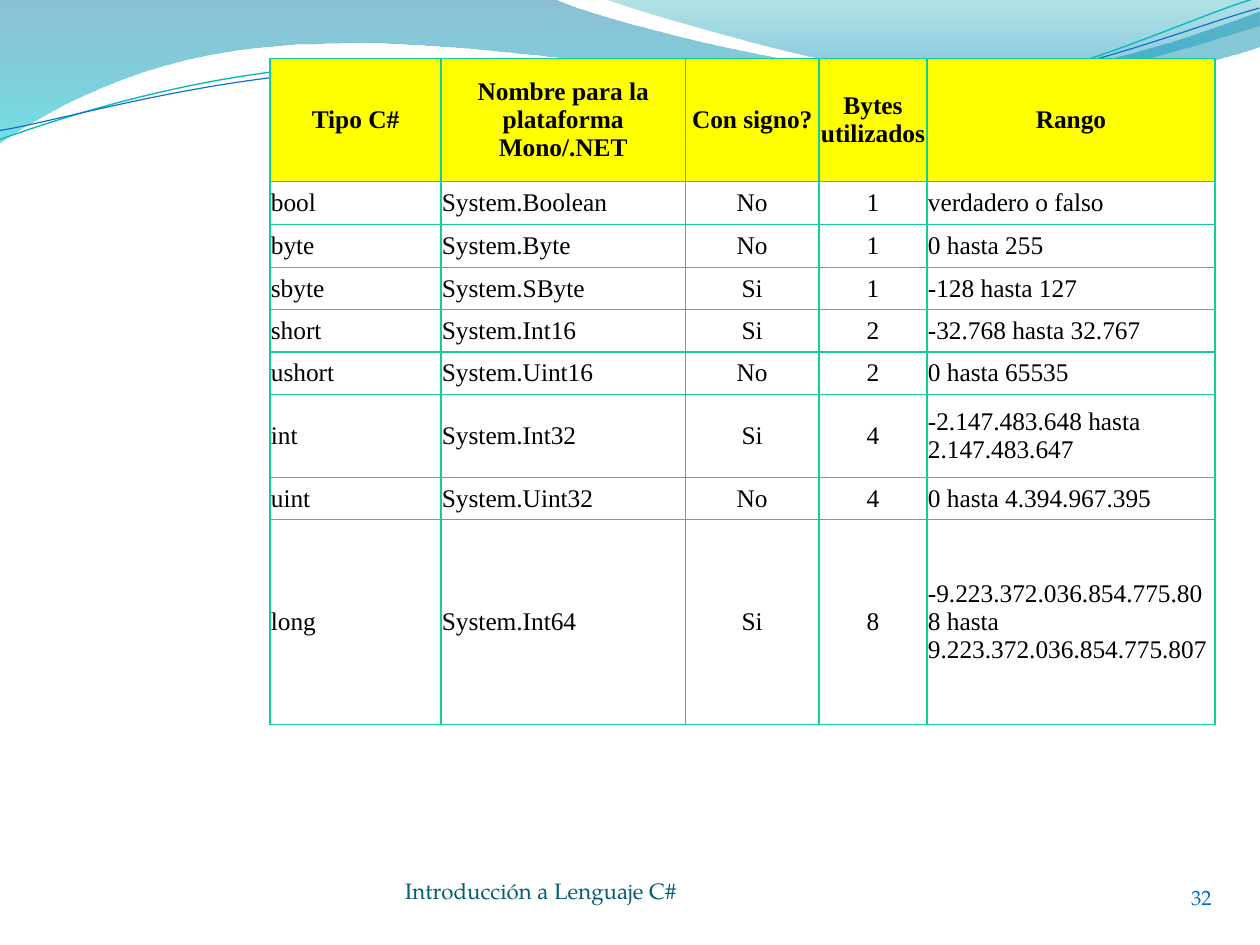
"""Build the slide listing the C# integer types over a wave banner."""
from lxml.etree import SubElement
from pptx import Presentation
from pptx.dml.color import RGBColor
from pptx.enum.shapes import MSO_SHAPE as Preset
from pptx.enum.text import MSO_ANCHOR as Anchor, PP_ALIGN as Align
from pptx.oxml.ns import qn
from pptx.util import Cm, Pt

BLACK = RGBColor(0x00, 0x00, 0x00)
WHITE = RGBColor(0xFF, 0xFF, 0xFF)
YELLOW = RGBColor(0xFF, 0xFF, 0x00)
GREEN = RGBColor(0x10, 0xCF, 0x9B)
TEAL = RGBColor(0x0A, 0xB8, 0xBF)
BLUE = RGBColor(0x0F, 0x6F, 0xC6)
FOOTER_TEAL = RGBColor(0x04, 0x5D, 0x75)
NUMBER_BLUE = RGBColor(0x00, 0x70, 0xC0)
DEEP_BLUE = RGBColor(0x00, 0x74, 0xA1)
CYAN = RGBColor(0x00, 0xC6, 0xCF)
SEA_GREEN = RGBColor(0x00, 0xA1, 0xA9)
SKY_BLUE = RGBColor(0x00, 0x8B, 0xBF)

TABLE_FONT = "Times New Roman"
FOOTER_FONT = "TeX Gyre Pagella"

LEFT_WAVE = [
    [(0, 0)],
    [(12.32, -0.03)],
    [(13.31, 0.46), (18.59, 1.75), (21.23, 1.75)],
    [(23.9, 1.75), (26.82, 0.71), (27.99, 0.25)],
    [(28.04, 1.02)],
    [(27.53, 1.22), (24.36, 2.13), (20.88, 2.11)],
    [(17.42, 2.11), (10.69, 0.79), (7.21, 0.97)],
    [(3.61, 0.99), (1.3, 2.31), (-0.03, 3.18)],
]
RIGHT_WAVE = [
    [(13.41, -0.03)],
    [(14.27, 0.3), (19.1, 1.73), (21.51, 1.83)],
    [(23.95, 1.93), (26.92, 0.89), (27.99, 0.58)],
    [(27.99, 0)],
]
TEAL_LINE = [
    [(0, 3.1)],
    [(1.35, 2.62), (4.42, 1.6), (7.75, 1.45)],
    [(11.07, 1.3), (16.59, 2.49), (19.96, 2.24)],
    [(23.32, 1.98), (26.29, 0.43), (27.94, -0.05)],
]
BLUE_LINE = [
    [(0, 2.9)],
    [(1.32, 2.69), (4.57, 1.7), (7.92, 1.57)],
    [(11.28, 1.45), (16.74, 2.34), (20.07, 2.11)],
    [(23.42, 1.88), (26.49, 0.58), (27.99, 0.18)],
]

COLUMN_WIDTHS = [3.8, 5.43, 2.97, 2.4, 6.4]
ROW_HEIGHTS = [2.74] + [0.95] * 2 + [0.94] * 3 + [1.85, 0.94, 4.55]
CENTERED_COLUMNS = (2, 3)
TYPES = [
    ("Tipo C#", "Nombre para la plataforma Mono/.NET", "Con signo?",
     "Bytes utilizados", "Rango"),
    ("bool", "System.Boolean", "No", "1", "verdadero o falso"),
    ("byte", "System.Byte", "No", "1", "0 hasta 255"),
    ("sbyte", "System.SByte", "Si", "1", "-128 hasta 127"),
    ("short", "System.Int16", "Si", "2", "-32.768 hasta 32.767"),
    ("ushort", "System.Uint16", "No", "2", "0 hasta 65535"),
    ("int", "System.Int32", "Si", "4", "-2.147.483.648 hasta 2.147.483.647"),
    ("uint", "System.Uint32", "No", "4", "0 hasta 4.394.967.395"),
    ("long", "System.Int64", "Si", "8",
     "-9.223.372.036.854.775.808 hasta 9.223.372.036.854.775.807"),
]


def bend_segments(shape, segments):
    """Turn the straight steps that have control points into cubic curves."""
    steps = list(shape.element.iter(qn("a:lnTo")))
    for step, (*controls, _) in zip(steps, segments[1:]):
        if controls:
            curve = step.makeelement(qn("a:cubicBezTo"))
            for x, y in controls:
                SubElement(curve, qn("a:pt"), x=str(Cm(x) - shape.left),
                           y=str(Cm(y) - shape.top))
            curve.append(step[0])
            step.getparent().replace(step, curve)


def add_outline(slide, segments, close):
    """Add a freeform without a shadow along the segments."""
    start, *others = [(Cm(x), Cm(y)) for *_, (x, y) in segments]
    builder = slide.shapes.build_freeform(*start)
    builder.add_line_segments(others, close=close)
    shape = builder.convert_to_shape()
    shape.shadow.inherit = False
    bend_segments(shape, segments)
    return shape


def add_wave(slide, segments, stops):
    """Add a wave with a translucent gradient from top to bottom."""
    shape = add_outline(slide, segments, True)
    shape.line.fill.background()
    shape.fill.gradient()
    shape.fill.gradient_angle = 270
    for stop, (position, color, _) in zip(shape.fill.gradient_stops, stops):
        stop.position = position
        stop.color.rgb = color
    colors = shape.element.spPr.iter(qn("a:srgbClr"))
    for element, (_, _, opacity) in zip(colors, stops):
        SubElement(element, qn("a:alpha"), val=str(opacity * 1000))


def add_wave_line(slide, segments, color, width):
    """Add a thin open curve."""
    shape = add_outline(slide, segments, False)
    shape.fill.background()
    shape.line.color.rgb = color
    shape.line.width = Pt(width)


def format_paragraph(paragraph, font_name, size, color, align, bold=False):
    """Set the alignment and font of a paragraph."""
    paragraph.alignment = align
    for run in paragraph.runs:
        run.font.name = font_name
        run.font.size = Pt(size)
        run.font.color.rgb = color
        run.font.bold = bold


def write_label(shape, text, size, color, align):
    """Write footer text at the bottom edge of a shape."""
    text_frame = shape.text_frame
    text_frame.word_wrap = True
    text_frame.vertical_anchor = Anchor.BOTTOM
    text_frame.margin_left = text_frame.margin_right = 0
    text_frame.margin_top = text_frame.margin_bottom = 0
    text_frame.text = text
    format_paragraph(text_frame.paragraphs[0], FOOTER_FONT, size, color, align)


def add_footer(slide):
    """Add the course name and the slide number in its white ellipse."""
    course = slide.shapes.add_textbox(Cm(9), Cm(19.23), Cm(15.6), Cm(0.85))
    write_label(course, "Introducción a Lenguaje C#", 14, FOOTER_TEAL, Align.LEFT)
    ellipse = slide.shapes.add_shape(Preset.OVAL, Cm(25), Cm(18.9), Cm(2.26), Cm(1.55))
    ellipse.shadow.inherit = False
    ellipse.fill.solid()
    ellipse.fill.fore_color.rgb = WHITE
    ellipse.line.fill.background()
    write_label(ellipse, "32", 13, NUMBER_BLUE, Align.RIGHT)


def add_borders(cell):
    """Draw a green line on the four sides of a cell."""
    properties = cell._tc.get_or_add_tcPr()
    for side in ("lnL", "lnR", "lnT", "lnB"):
        line = SubElement(properties, qn(f"a:{side}"), w=str(Pt(1)))
        fill = SubElement(line, qn("a:solidFill"))
        SubElement(fill, qn("a:srgbClr"), val=str(GREEN))


def fill_cell(cell, text, is_header, is_centered):
    """Write and format one table cell."""
    cell.text = text
    cell.vertical_anchor = Anchor.MIDDLE
    cell.margin_left = cell.margin_right = Cm(0.02)
    cell.margin_top = cell.margin_bottom = Cm(0.02)
    add_borders(cell)
    if is_header:
        cell.fill.solid()
        cell.fill.fore_color.rgb = YELLOW
    else:
        cell.fill.background()
    align = Align.CENTER if is_header or is_centered else Align.LEFT
    format_paragraph(cell.text_frame.paragraphs[0], TABLE_FONT, 16, BLACK,
                     align, is_header)


def add_type_table(slide):
    """Add the table of C# types."""
    table = slide.shapes.add_table(
        len(ROW_HEIGHTS), len(COLUMN_WIDTHS), Cm(6), Cm(1.3),
        Cm(sum(COLUMN_WIDTHS)), Cm(sum(ROW_HEIGHTS))).table
    table.first_row = table.horz_banding = False
    for column, width in zip(table.columns, COLUMN_WIDTHS):
        column.width = Cm(width)
    for row_index, (height, texts) in enumerate(zip(ROW_HEIGHTS, TYPES)):
        table.rows[row_index].height = Cm(height)
        for column_index, text in enumerate(texts):
            fill_cell(table.cell(row_index, column_index), text,
                      row_index == 0, column_index in CENTERED_COLUMNS)


def main():
    """Create and save the presentation."""
    presentation = Presentation()
    presentation.slide_width, presentation.slide_height = Cm(28), Cm(21)
    slide = presentation.slides.add_slide(presentation.slide_layouts[6])
    add_wave(slide, LEFT_WAVE, [(0, DEEP_BLUE, 45), (1, CYAN, 55)])
    add_wave(slide, RIGHT_WAVE, [(0, SEA_GREEN, 30), (0.8, SKY_BLUE, 45)])
    add_wave_line(slide, TEAL_LINE, TEAL, 0.85)
    add_wave_line(slide, BLUE_LINE, BLUE, 0.75)
    add_footer(slide)
    add_type_table(slide)
    presentation.save("out.pptx")


if __name__ == "__main__":
    main()
